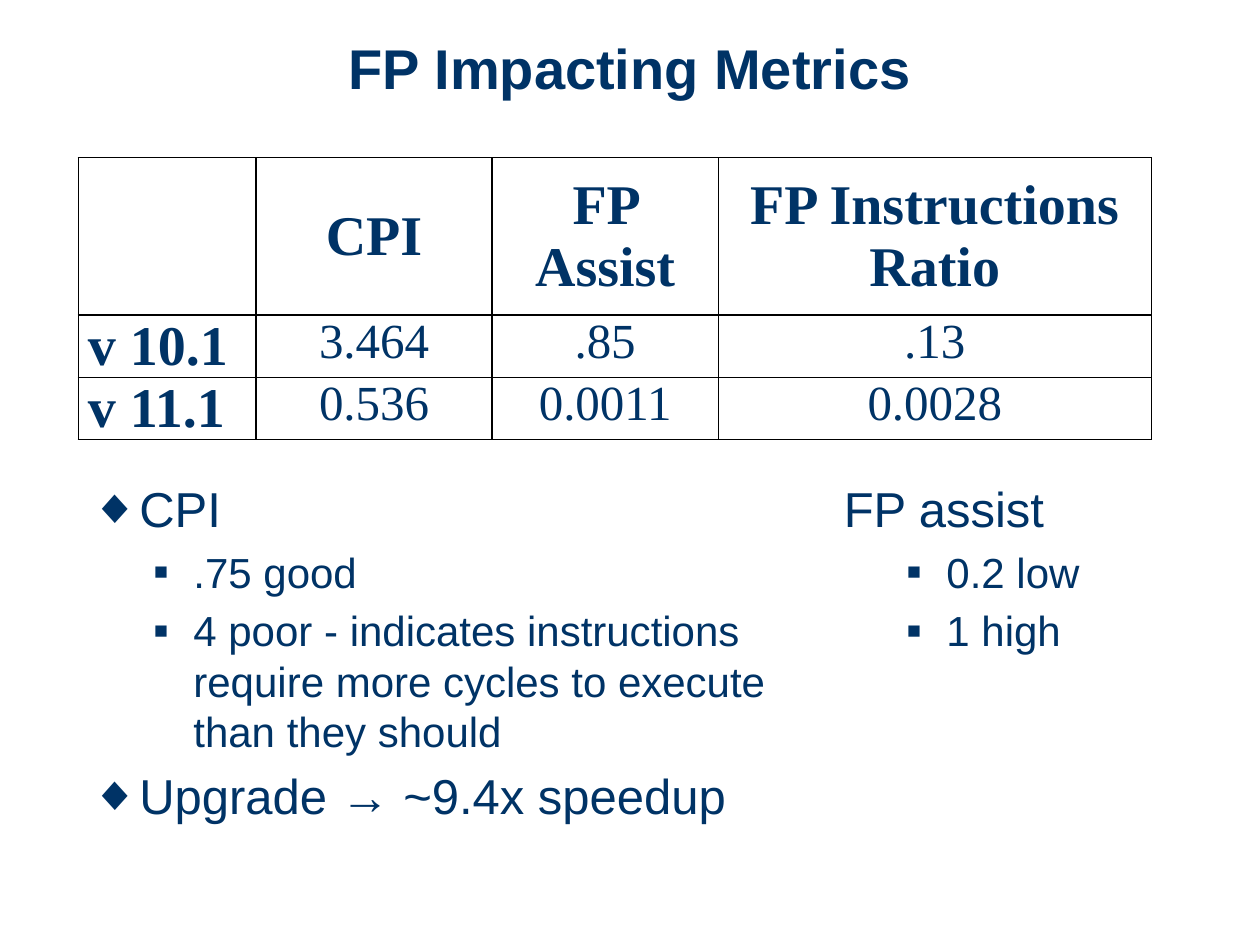
from lxml import etree
from pptx import Presentation
from pptx.dml.color import RGBColor
from pptx.enum.text import MSO_ANCHOR, PP_ALIGN
from pptx.oxml.ns import qn
from pptx.util import Cm, Pt

CENTER, JUSTIFY = PP_ALIGN.CENTER, PP_ALIGN.JUSTIFY
TOP, MIDDLE = MSO_ANCHOR.TOP, MSO_ANCHOR.MIDDLE
NAVY, BLACK = "003366", "000000"
SANS, SERIF = "Arial", "Times New Roman"

METRICS = [
    ["", "CPI", "FP Assist", "FP Instructions Ratio"],
    ["v 10.1", "3.464", ".85", ".13"],
    ["v 11.1", "0.536", "0.0011", "0.0028"],
]
COLUMN_WIDTHS = [3.58, 4.76, 4.56, 8.73]
ROW_HEIGHTS = [3.17, 1.25, 1.25]
LEVELS = [
    {"size": 28, "margin": 0.96, "hang": 0.96, "bullet": "\u25c6", "scale": 100},
    {"size": 24, "margin": 2.07, "hang": 0.79, "bullet": "\u25a0", "scale": 55},
]
CPI_NOTES = [
    (0, "CPI", True),
    (1, ".75 good", True),
    (1, "4 poor - indicates instructions require more cycles to execute "
        "than they should", True),
    (0, "Upgrade \u2192 ~9.4x speedup", True),
]
ASSIST_NOTES = [
    (0, "FP assist", False),
    (1, "0.2 low", True),
    (1, "1 high", True),
]


def color(value):
    return RGBColor.from_string(value)


def style(paragraph, font_name, size, bold=False):
    font = paragraph.font
    font.name, font.size, font.bold = font_name, Pt(size), bold
    font.color.rgb = color(NAVY)


def add_text_frame(slide, left, top, width, height):
    frame = slide.shapes.add_textbox(
        Cm(left), Cm(top), Cm(width), Cm(height)).text_frame
    frame.word_wrap = True
    return frame


def add_title(slide, text):
    title = add_text_frame(slide, 1.27, 0.76, 22.86, 3.18).paragraphs[0]
    title.text = text
    title.alignment = CENTER
    title.line_spacing = 0.85
    style(title, SANS, 32, True)


def set_bullet(paragraph, level, shown):
    props = paragraph._p.get_or_add_pPr()
    props.set("marL", str(Cm(level["margin"])))
    props.set("indent", str(-Cm(level["hang"])))
    if not shown:
        etree.SubElement(props, qn("a:buNone"))
        return
    tint = etree.SubElement(props, qn("a:buClr"))
    etree.SubElement(tint, qn("a:srgbClr"), val=NAVY)
    etree.SubElement(props, qn("a:buSzPct"), val=str(level["scale"] * 1000))
    etree.SubElement(props, qn("a:buFont"), typeface=SANS)
    etree.SubElement(props, qn("a:buChar"), char=level["bullet"])


def add_notes(slide, box, notes):
    frame = add_text_frame(slide, *box)
    for index, (depth, text, bulleted) in enumerate(notes):
        paragraph = frame.add_paragraph() if index else frame.paragraphs[0]
        level = LEVELS[depth]
        paragraph.text = text
        paragraph.level = depth
        paragraph.space_before = Pt(level["size"] * 0.2 if index else 0)
        set_bullet(paragraph, level, bulleted)
        style(paragraph, SANS, level["size"])


def set_borders(cell):
    props = cell._tc.get_or_add_tcPr()
    for position, side in enumerate(("a:lnL", "a:lnR", "a:lnT", "a:lnB")):
        line = etree.Element(qn(side), w=str(Pt(1)))
        fill = etree.SubElement(line, qn("a:solidFill"))
        etree.SubElement(fill, qn("a:srgbClr"), val=BLACK)
        props.insert(position, line)


def fill_cell(cell, text, is_header, is_label):
    cell.fill.background()
    set_borders(cell)
    cell.margin_left = cell.margin_right = Cm(0.19)
    cell.margin_top = cell.margin_bottom = 0
    cell.vertical_anchor = MIDDLE if is_header else TOP
    paragraph = cell.text_frame.paragraphs[0]
    paragraph.text = text
    paragraph.alignment = JUSTIFY if is_label else CENTER
    strong = is_header or is_label
    style(paragraph, SERIF, 32 if strong else 28, strong)


def add_metrics_table(slide):
    table = slide.shapes.add_table(
        len(METRICS), len(COLUMN_WIDTHS), Cm(1.58), Cm(3.18),
        Cm(sum(COLUMN_WIDTHS)), Cm(sum(ROW_HEIGHTS))).table
    table.first_row = table.horz_banding = False
    for column, width in zip(table.columns, COLUMN_WIDTHS):
        column.width = Cm(width)
    for row, height in zip(table.rows, ROW_HEIGHTS):
        row.height = Cm(height)
    for r, values in enumerate(METRICS):
        for c, value in enumerate(values):
            fill_cell(table.cell(r, c), value, r == 0, c == 0)


def main():
    deck = Presentation()
    deck.slide_width, deck.slide_height = Cm(25.4), Cm(19.05)
    slide = deck.slides.add_slide(deck.slide_layouts[6])
    add_metrics_table(slide)
    add_title(slide, "FP Impacting Metrics")
    add_notes(slide, (1.58, 9.53, 15.67, 7.95), CPI_NOTES)
    add_notes(slide, (16.76, 9.53, 6.45, 5.31), ASSIST_NOTES)
    deck.save("out.pptx")


main()
